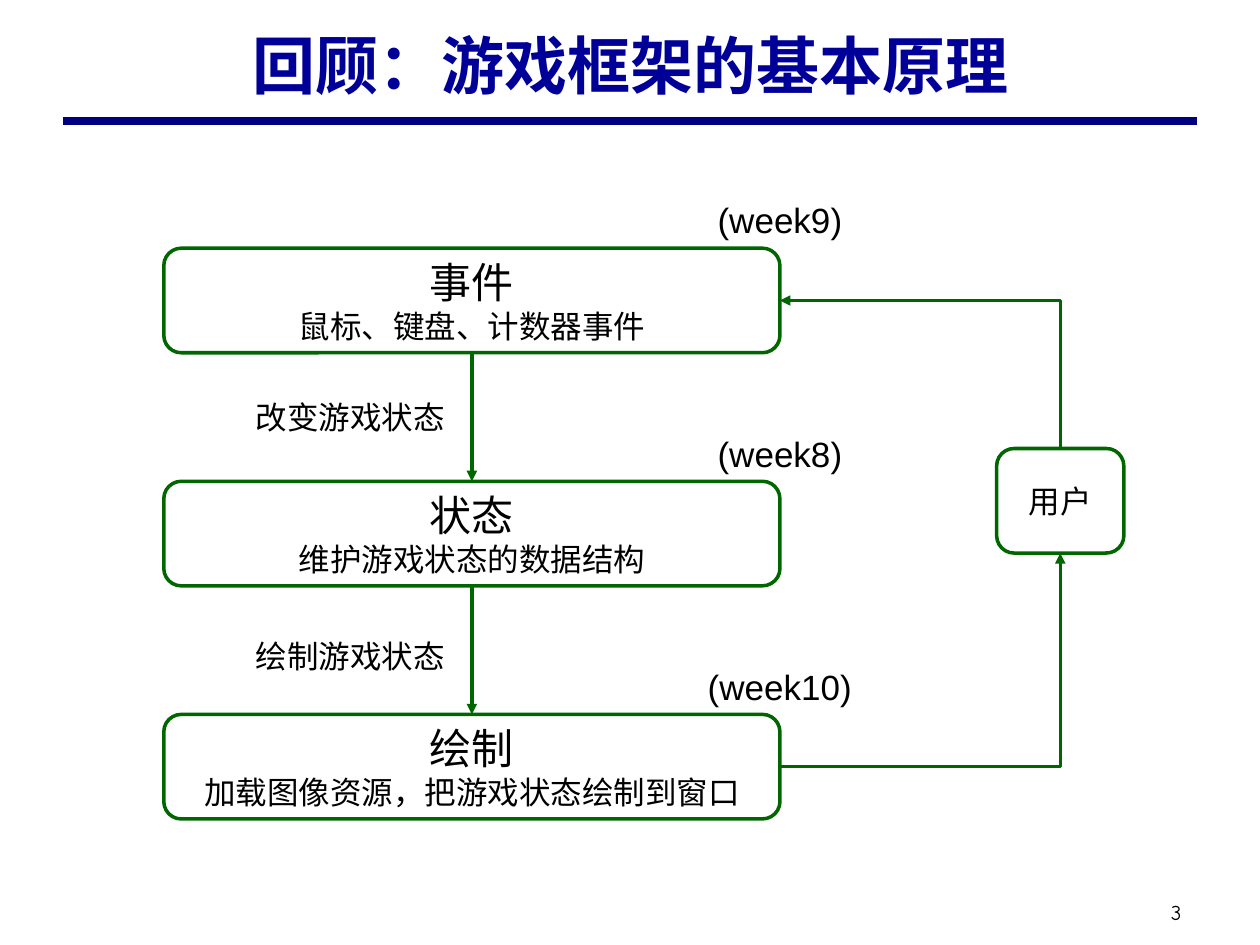
from dataclasses import dataclass

from lxml.etree import SubElement
from pptx import Presentation
from pptx.dml.color import RGBColor
from pptx.enum.shapes import MSO_CONNECTOR as Link, MSO_SHAPE as Preset
from pptx.enum.text import MSO_ANCHOR as Anchor, MSO_AUTO_SIZE as AutoSize, PP_ALIGN as Align
from pptx.oxml.ns import qn
from pptx.util import Inches, Pt


@dataclass(frozen=True)
class Theme:
    """Colours, fonts, type sizes and line widths of the deck."""
    title_color: RGBColor = RGBColor(0x00, 0x00, 0x99)
    rule_color: RGBColor = RGBColor(0x00, 0x00, 0x80)
    line_color: RGBColor = RGBColor(0x00, 0x66, 0x00)
    text_color: RGBColor = RGBColor(0x00, 0x00, 0x00)
    title_font: str = "Times New Roman"
    body_font: str = "Arial"
    number_font: str = "Comic Neue"
    title_size: Pt = Pt(36)
    heading_size: Pt = Pt(24)
    week_size: Pt = Pt(20)
    body_size: Pt = Pt(18)
    number_size: Pt = Pt(12)
    rule_width: Pt = Pt(4.5)
    line_width: Pt = Pt(2)


THEME = Theme()
TOP, BOTTOM, RIGHT = 0, 2, 3
STAGE_LEFT, STAGE_WIDTH, STAGE_HEIGHT = 1.3, 4.89, 0.83
STAGE_TOP, STAGE_STEP = 1.97, 1.85
STAGES = [
    ("事件", "鼠标、键盘、计数器事件", "(week9)", 1.2),
    ("状态", "维护游戏状态的数据结构", "(week8)", 1.2),
    ("绘制", "加载图像资源，把游戏状态绘制到窗口", "(week10)", 1.36),
]
STEPS = [("改变游戏状态", 3.11), ("绘制游戏状态", 5.01)]


def apply(target, **values):
    """Set each named format value on the target."""
    for name, value in values.items():
        setattr(target, name, value)


def write(frame, lines, align=Align.CENTER, font=THEME.body_font,
          color=THEME.text_color, bold=False):
    """Fill a text frame with one paragraph per (text, size) pair."""
    for index, (text, size) in enumerate(lines):
        para = frame.paragraphs[0] if index == 0 else frame.add_paragraph()
        para.alignment = align
        span = para.add_run()
        span.text = text
        apply(span.font, name=font, size=size, bold=bold)
        span.font.color.rgb = color


def place(shape, box):
    """Move a shape to a left, top, width, height box in inches."""
    apply(shape, **dict(zip(("left", "top", "width", "height"), map(Inches, box))))


def add_label(page, box, text, size, align=Align.LEFT):
    """Add a one-line label that grows with its text."""
    frame = page.shapes.add_textbox(*map(Inches, box)).text_frame
    apply(frame, word_wrap=False, auto_size=AutoSize.SHAPE_TO_FIT_TEXT)
    write(frame, [(text, size)], align)


def add_node(page, box, lines):
    """Add an outlined rounded box with centred text."""
    node = page.shapes.add_shape(Preset.ROUNDED_RECTANGLE, *map(Inches, box))
    node.shadow.inherit = False
    node.fill.background()
    node.line.color.rgb = THEME.line_color
    node.line.width = THEME.line_width
    apply(node.text_frame, word_wrap=False, vertical_anchor=Anchor.MIDDLE)
    write(node.text_frame, lines)
    return node


def add_line(page, kind, color, width):
    """Add a connector without a shadow."""
    line = page.shapes.add_connector(kind, 0, 0, 0, 0)
    line.line.color.rgb = color
    line.line.width = width
    SubElement(line._element.spPr, qn("a:effectLst"))
    return line


def add_arrow(page, start, end, kind=Link.STRAIGHT, point="tailEnd"):
    """Join two (node, site) pairs, with an arrowhead at the given end."""
    arrow = add_line(page, kind, THEME.line_color, THEME.line_width)
    arrow.begin_connect(*start)
    arrow.end_connect(*end)
    if kind == Link.ELBOW:
        arrow._element.spPr.find(qn("a:prstGeom")).set("prst", "bentConnector2")
    SubElement(arrow.line._get_or_add_ln(), qn(f"a:{point}"), type="triangle")


def add_header(page, box, text):
    """Fill the title and draw the rule below it."""
    title = page.shapes.title
    place(title, box)
    apply(title.text_frame, word_wrap=True, auto_size=AutoSize.NONE,
          vertical_anchor=Anchor.MIDDLE)
    write(title.text_frame, [(text, THEME.title_size)], font=THEME.title_font,
          color=THEME.title_color, bold=True)
    rule = add_line(page, Link.STRAIGHT, THEME.rule_color, THEME.rule_width)
    apply(rule, begin_x=Inches(0.5), begin_y=Inches(0.96),
          end_x=Inches(9.5), end_y=Inches(0.96))


def add_stages(page, box, step):
    """Stack the stages with their week labels, arrows and step labels."""
    left, top, width, height = box
    nodes = []
    for index, (heading, detail, week, week_width) in enumerate(STAGES):
        y = top + index * step
        lines = [(heading, THEME.heading_size), (detail, THEME.body_size)]
        nodes.append(add_node(page, (left, y, width, height), lines))
        week_left = left + width - week_width / 2
        add_label(page, (week_left, y - 0.44, week_width, 0.44), week,
                  THEME.week_size, Align.CENTER)
    for upper, lower in zip(nodes, nodes[1:]):
        add_arrow(page, (upper, BOTTOM), (lower, TOP))
    for text, y in STEPS:
        add_label(page, (1.93, y, 1.72, 0.4), text, THEME.body_size)
    return nodes


def add_user(page, box, source, target):
    """Add the user, fed by the source stage and feeding the target stage."""
    user = add_node(page, box, [("用户", THEME.body_size)])
    add_arrow(page, (target, RIGHT), (user, TOP), Link.ELBOW, "headEnd")
    add_arrow(page, (source, RIGHT), (user, BOTTOM), Link.ELBOW)


def add_page_number(page, box, text):
    """Add the page number at the foot of the slide."""
    frame = page.shapes.add_textbox(*map(Inches, box)).text_frame
    inset = Inches(0.05)
    apply(frame, word_wrap=True, vertical_anchor=Anchor.MIDDLE, margin_left=inset,
          margin_right=inset, margin_top=inset, margin_bottom=inset)
    write(frame, [(text, THEME.number_size)], font=THEME.number_font)


def main():
    """Build the deck and save it."""
    deck = Presentation()
    apply(deck, slide_width=Inches(10), slide_height=Inches(7.5))
    page = deck.slides.add_slide(deck.slide_layouts.get_by_name("Title Only"))
    add_header(page, (0.75, 0.08, 8.5, 0.86), "回顾：游戏框架的基本原理")
    stages = add_stages(page, (STAGE_LEFT, STAGE_TOP, STAGE_WIDTH, STAGE_HEIGHT), STAGE_STEP)
    add_user(page, (7.91, 3.56, 1.01, 0.83), source=stages[-1], target=stages[0])
    add_page_number(page, (9.1, 7.09, 0.47, 0.3), "3")
    deck.save("out.pptx")


if __name__ == "__main__":
    main()
